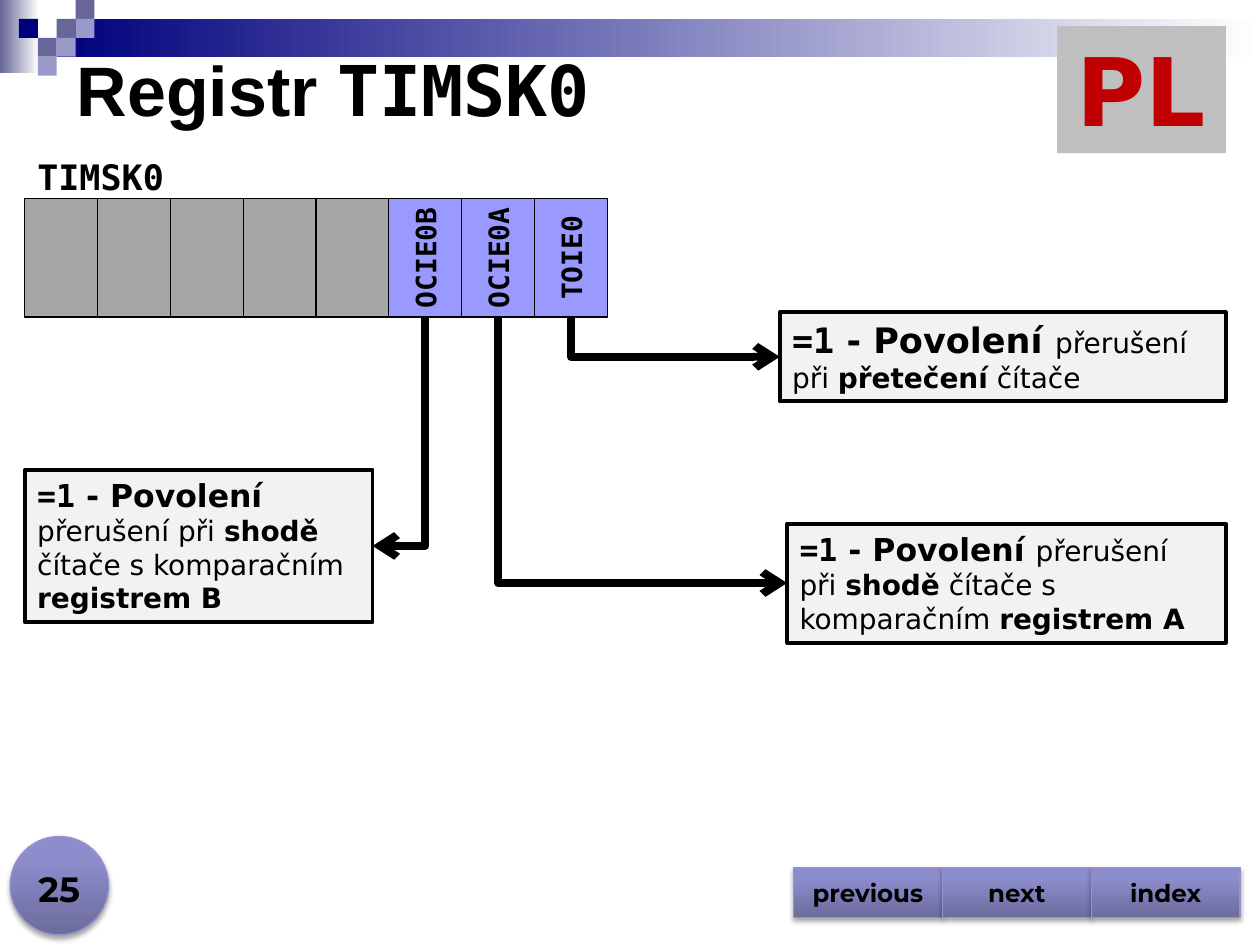
from lxml import etree
from pptx import Presentation
from pptx.dml.color import RGBColor
from pptx.enum.shapes import MSO_CONNECTOR, MSO_SHAPE
from pptx.enum.text import MSO_ANCHOR, PP_ALIGN
from pptx.oxml.ns import qn
from pptx.util import Pt

RECT, OVAL = MSO_SHAPE.RECTANGLE, MSO_SHAPE.OVAL
BUTTON = MSO_SHAPE.ACTION_BUTTON_CUSTOM
ELBOW = MSO_CONNECTOR.ELBOW
TOP, MIDDLE, BOTTOM = MSO_ANCHOR.TOP, MSO_ANCHOR.MIDDLE, MSO_ANCHOR.BOTTOM
LEFT, CENTER = PP_ALIGN.LEFT, PP_ALIGN.CENTER
SANS, MONO, LABEL = "DejaVu Sans", "DejaVu Sans Mono", "Montserrat"
GLOSS = [(0, "6C6C9E"), (80, "8D8DCD"), (100, "8C8CCF")]


def color(value):
    return RGBColor.from_string(value)


def add_child(parent, tag, **attributes):
    return etree.SubElement(parent, qn(tag), attributes)


def fill_gradient(shape, stops, angle=0):
    shape.fill.gradient()
    shape.fill.gradient_angle = angle
    stop_list = shape._element.spPr.find(qn("a:gradFill")).find(qn("a:gsLst"))
    for old_stop in list(stop_list):
        stop_list.remove(old_stop)
    for position, value in stops:
        stop = add_child(stop_list, "a:gs", pos=str(position * 1000))
        add_child(stop, "a:srgbClr", val=value)


def add_block(page, box, fill=None, line=None, width=0.75, kind=RECT):
    shape = page.shapes.add_shape(kind, *map(Pt, box))
    shape.shadow.inherit = False
    if fill:
        shape.fill.solid()
        shape.fill.fore_color.rgb = color(fill)
    if line:
        shape.line.color.rgb = color(line)
        shape.line.width = Pt(width)
    else:
        shape.line.fill.background()
    return shape


def write(shape, spans, align=LEFT, anchor=TOP, wrap=True):
    """Fill a shape with one paragraph of (text, size, font, bold, colour) spans."""
    frame = shape.text_frame
    frame.word_wrap = wrap
    frame.vertical_anchor = anchor
    para = frame.paragraphs[0]
    para.alignment = align
    for text, size, font, bold, value in spans:
        span = para.add_run()
        span.text = text
        span.font.size = Pt(size)
        span.font.name = font
        span.font.bold = bold
        span.font.color.rgb = color(value)


def bold_span(text, size, font, value="000000"):
    return text, size, font, True, value


def add_text(page, box, spans, **layout):
    write(page.shapes.add_textbox(*map(Pt, box)), spans, **layout)


def add_glossy(page, box, kind):
    shape = add_block(page, box, line="9494C9", kind=kind)
    fill_gradient(shape, GLOSS, 90)
    effects = shape._element.spPr.find(qn("a:effectLst"))
    shadow = add_child(effects, "a:outerShdw", blurRad=str(Pt(3.1)), dist=str(Pt(1.8)),
                       dir="5400000", rotWithShape="0")
    shade = add_child(shadow, "a:srgbClr", val="000000")
    add_child(shade, "a:alpha", val="35000")
    return shape


def add_banner(page, box):
    left, top, width, height = box
    unit = 10.8
    fill_gradient(add_block(page, (left, top, 22.3, height)),
                  [(0, "666699"), (100, "FFFFFF")])
    fill_gradient(add_block(page, (left + 3 * unit, top + unit, width - 3 * unit, 2 * unit)),
                  [(0, "00007D"), (100, "FFFFFF")])
    tiles = [(3, 1, "666699"), (4, 0, "666699"), (4, 1, "9999CC"), (2, 2, "666699"),
             (1, 1, "00007D"), (3, 2, "9999CC"), (2, 3, "9999CC")]
    for column, row, value in tiles:
        add_block(page, (left + column * unit, top + row * unit, unit, unit), value)


def add_register(page, box, names):
    """Draw one cell per bit; return the bottom centre of each named bit."""
    left, top, width, height = box
    step = width / len(names)
    ends = {}
    for index, name in enumerate(names):
        cell = add_block(page, (left + index * step, top, step, height),
                         "9999FF" if name else "A6A6A6", "000000")
        if name:
            write(cell, [bold_span(name, 16, MONO)], CENTER, MIDDLE, wrap=False)
            cell.text_frame._txBody.bodyPr.set("vert", "vert270")
            ends[name] = (left + (index + 0.5) * step, top + height)
    return ends


def add_callout(page, box, size, phrases):
    """Phrases alternate between regular and bold."""
    spans = [bold_span("=1", size, MONO), bold_span(" - Povolení ", size, SANS)]
    for index, phrase in enumerate(phrases):
        spans.append((phrase, 16, SANS, index % 2 == 1, "000000"))
    write(add_block(page, box, "F2F2F2", "000000", 2.25), spans)


def add_bent_arrow(page, start, end):
    """Run down from start, then sideways to end."""
    (x1, y1), (x2, y2) = start, end
    across, down = abs(x2 - x1), y2 - y1
    left, top = (x1 + x2 - down) / 2, (y1 + y2 - across) / 2
    arrow = page.shapes.add_connector(
        ELBOW, Pt(left), Pt(top), Pt(left + down), Pt(top + across))
    properties = arrow._element.spPr
    properties.find(qn("a:prstGeom")).set("prst", "bentConnector2")
    frame = properties.find(qn("a:xfrm"))
    if x2 > x1:
        frame.set("rot", "16200000")
        frame.set("flipH", "1")
    else:
        frame.set("rot", "5400000")
    arrow.line.color.rgb = color("000000")
    arrow.line.width = Pt(4.5)
    add_child(properties.find(qn("a:ln")), "a:tailEnd", type="arrow")
    add_child(properties, "a:effectLst")


def add_navigation(page, box, labels):
    left, top, width, height = box
    step = width / len(labels)
    for index, label in enumerate(labels):
        button = add_glossy(page, (left + index * step, top, step, height), BUTTON)
        write(button, [bold_span(label, 14, LABEL)], CENTER, MIDDLE)


def add_page_number(page, box, number):
    left, top, size, _ = box
    add_glossy(page, box, OVAL)
    add_text(page, (left - 5.8, top + 9.4, size + 11.6, 36),
             [bold_span(number, 20, LABEL)], align=CENTER, anchor=BOTTOM)


def main():
    deck = Presentation()
    deck.slide_width, deck.slide_height = Pt(720), Pt(540)
    page = deck.slides.add_slide(deck.slide_layouts[6])

    add_banner(page, (0, 0, 720, 41.8))
    add_text(page, (36.7, 22.3, 638, 57),
             [bold_span("Registr ", 40, "Arial"), bold_span("TIMSK0", 40, MONO)],
             anchor=MIDDLE)
    add_text(page, (14.2, 85.5, 146, 31.5), [bold_span("TIMSK0", 20, MONO)])
    bits = add_register(page, (14.2, 113.4, 332.8, 67.8),
                        [""] * 5 + ["OCIE0B", "OCIE0A", "TOIE0"])

    callouts = [
        ("TOIE0", (445.6, 178.4, 254.9, 51), 20, ["přerušení při ", "přetečení", " čítače"]),
        ("OCIE0A", (449.8, 299.2, 250.7, 68), 18,
         ["přerušení při ", "shodě", " čítače s komparačním ", "registrem A"]),
        ("OCIE0B", (14.2, 268.4, 198.7, 87.2), 18,
         ["přerušení při ", "shodě", " čítače s komparačním ", "registrem B"]),
    ]
    for bit, box, size, phrases in callouts:
        left, top, width, height = box
        add_callout(page, box, size, phrases)
        side = left if left > bits[bit][0] else left + width
        add_bent_arrow(page, bits[bit], (side, top + height / 2))

    add_page_number(page, (5.8, 478, 56.2, 56.2), "25")
    add_navigation(page, (453.4, 495.8, 255.2, 28.4), ["previous", "next", "index"])
    badge = add_block(page, (604.1, 15, 96.4, 72.6), "BFBFBF")
    write(badge, [bold_span("PL", 54, SANS, "C00000")], CENTER)
    deck.save("out.pptx")


if __name__ == "__main__":
    main()
